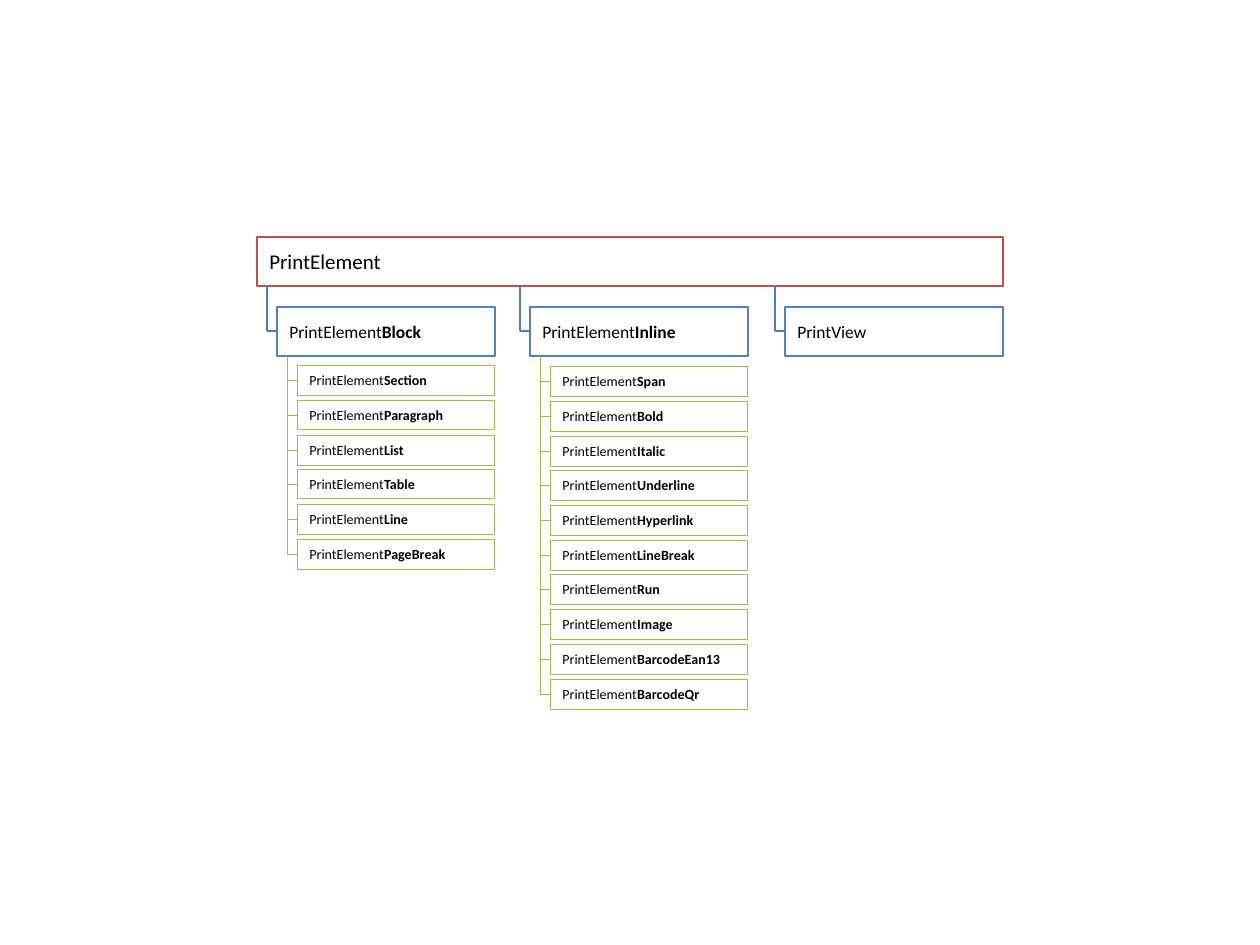
from dataclasses import dataclass
from lxml.etree import SubElement
from pptx import Presentation
from pptx.dml.color import RGBColor
from pptx.enum.shapes import MSO_CONNECTOR, MSO_SHAPE
from pptx.enum.text import MSO_ANCHOR, PP_ALIGN
from pptx.oxml.ns import qn
from pptx.util import Emu, Pt

PREFIX = "PrintElement"
# branch name runs (plain, bold), left, top of the first item, items
BRANCHES = [
    ((PREFIX, "Block"), 277, 365,
     ["Section", "Paragraph", "List", "Table", "Line", "PageBreak"]),
    ((PREFIX, "Inline"), 530, 366,
     ["Span", "Bold", "Italic", "Underline", "Hyperlink", "LineBreak",
      "Run", "Image", "BarcodeEan13", "BarcodeQr"]),
    (("PrintView", ""), 785, 366, []),
]

ROOT_BOX = (257, 237, 746, 49)
BRANCH_TOP, BRANCH_WIDTH, BRANCH_HEIGHT = 307, 218, 49
ITEM_INDENT, ITEM_HEIGHT, ITEM_PITCH = 20, 30, 34.75
STUB = 10


@dataclass(frozen=True)
class Level:
    """Look of one level of the hierarchy."""
    border: str
    link: str
    line_width: float
    text_size: int


@dataclass(frozen=True)
class Theme:
    """Colours and type of the slide."""
    font: str = "Calibri"
    text: str = "000000"
    fill: str = "FFFFFF"
    root: Level = Level("C0504D", "C0504D", 1, 12)
    branch: Level = Level("4F81BD", "4B7EBC", 1, 10)
    item: Level = Level("9BBB59", "98B955", 0.5, 8)


THEME = Theme()


def px(value):
    """Turn pixels into EMU."""
    return Emu(round(value * 914400 / 126))


def add_box(slide, box, runs, level):
    """Add a bordered box with a plain and a bold run."""
    shape = slide.shapes.add_shape(MSO_SHAPE.RECTANGLE, *map(px, box))
    shape.shadow.inherit = False
    shape.fill.solid()
    shape.fill.fore_color.rgb = RGBColor.from_string(THEME.fill)
    shape.line.color.rgb = RGBColor.from_string(level.border)
    shape.line.width = Pt(level.line_width)
    frame = shape.text_frame
    frame.word_wrap = True
    frame.vertical_anchor = MSO_ANCHOR.MIDDLE
    paragraph = frame.paragraphs[0]
    paragraph.alignment = PP_ALIGN.LEFT
    for text, bold in zip(runs, (False, True)):
        if text:
            run = paragraph.add_run()
            run.text = text
            run.font.name = THEME.font
            run.font.size = Pt(level.text_size)
            run.font.bold = bold
            run.font.color.rgb = RGBColor.from_string(THEME.text)


def add_link(slide, start, end, level):
    """Add a straight line between two points."""
    link = slide.shapes.add_connector(
        MSO_CONNECTOR.STRAIGHT, *map(px, start + end))
    link.line.color.rgb = RGBColor.from_string(level.link)
    link.line.width = Pt(level.line_width)
    SubElement(link.element.spPr, qn("a:effectLst"))


def add_branch(slide, runs, left, first_top, items):
    """Add a branch, its items and the lines that join them."""
    add_box(slide, (left, BRANCH_TOP, BRANCH_WIDTH, BRANCH_HEIGHT),
            runs, THEME.branch)
    middle = BRANCH_TOP + BRANCH_HEIGHT // 2
    riser = left - STUB
    root_bottom = ROOT_BOX[1] + ROOT_BOX[3]
    add_link(slide, (riser, root_bottom), (riser, middle), THEME.branch)
    add_link(slide, (riser, middle), (left, middle), THEME.branch)

    item_left = left + ITEM_INDENT
    trunk = item_left - STUB
    for index, name in enumerate(items):
        top = first_top + round(index * ITEM_PITCH)
        middle = top + ITEM_HEIGHT // 2
        add_box(slide, (item_left, top, BRANCH_WIDTH - ITEM_INDENT, ITEM_HEIGHT),
                (PREFIX, name), THEME.item)
        add_link(slide, (trunk, middle), (item_left, middle), THEME.item)
    if items:
        add_link(slide, (trunk, BRANCH_TOP + BRANCH_HEIGHT), (trunk, middle),
                 THEME.item)


def main():
    """Build and save the slide."""
    presentation = Presentation()
    presentation.slide_width, presentation.slide_height = px(1260), px(945)
    slide = presentation.slides.add_slide(presentation.slide_layouts[6])
    add_box(slide, ROOT_BOX, (PREFIX, ""), THEME.root)
    for branch in BRANCHES:
        add_branch(slide, *branch)
    presentation.save("out.pptx")


main()
